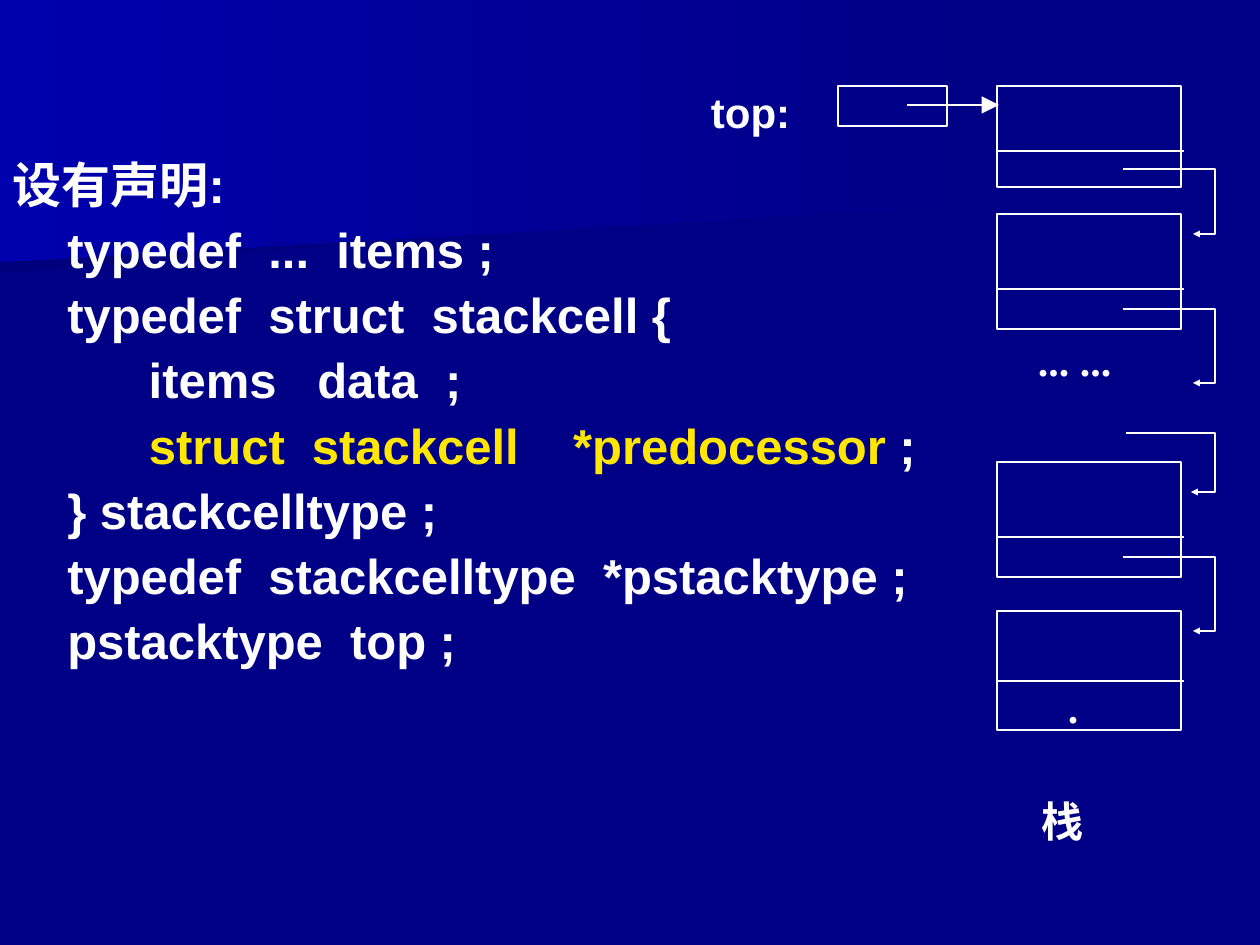
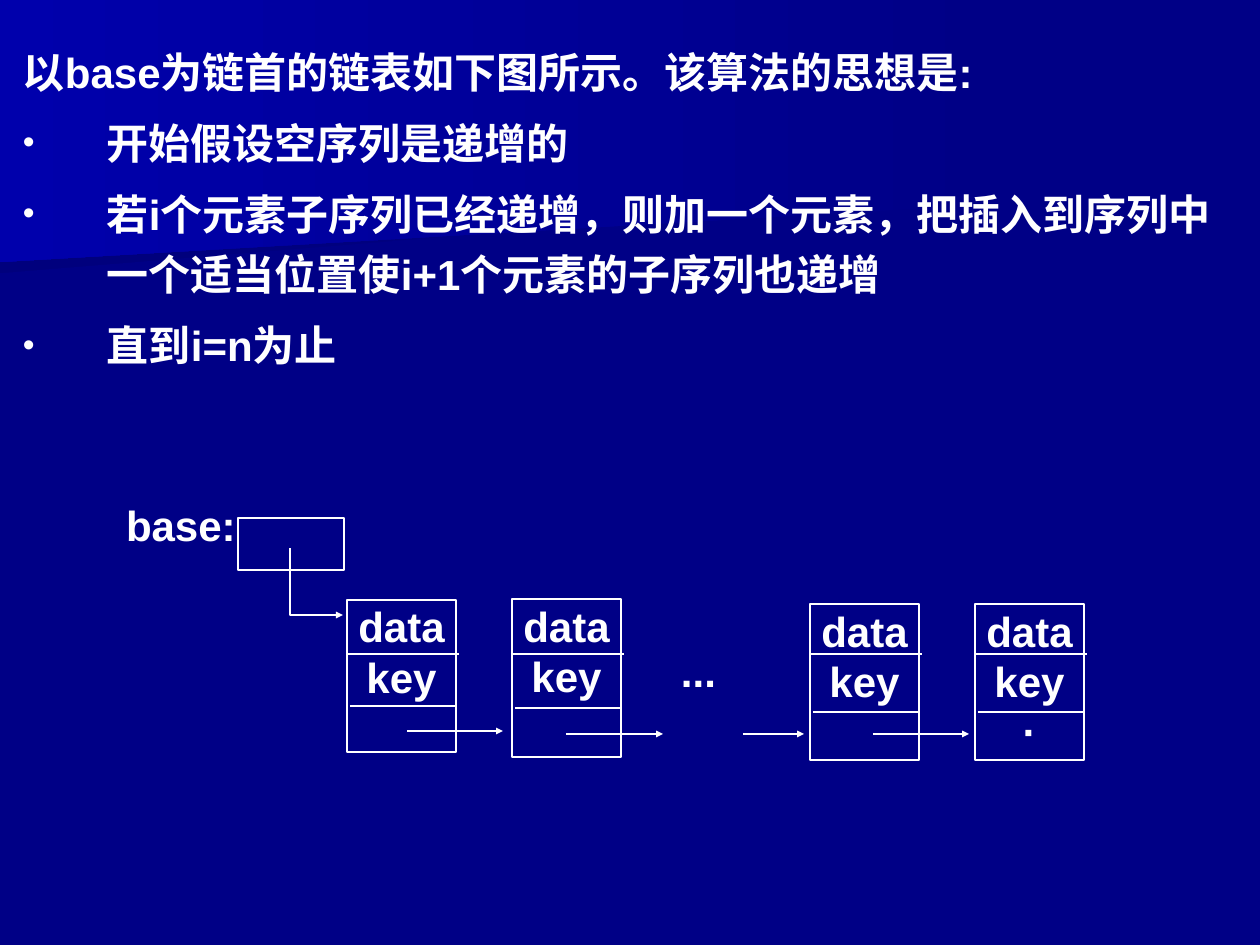
import pptx
import pptx.dml.color
import pptx.enum.shapes
import pptx.enum.text
import pptx.oxml
import pptx.oxml.ns
import pptx.util

RGB = pptx.dml.color.RGBColor
NAVY = RGB(0x00, 0x00, 0x86)
DARK_NAVY = RGB(0x00, 0x00, 0x7D)
BRIGHT_BLUE = RGB(0x00, 0x00, 0xAC)
WHITE = RGB(0xFF, 0xFF, 0xFF)
YELLOW = RGB(0xFF, 0xE7, 0x01)

LATIN = "Arial"
SERIF = "Times New Roman"
CJK = "Noto Sans CJK SC"
EMU_PER_PX = 914400 / 126
CENTER = pptx.enum.text.PP_ALIGN.CENTER
THIN_INSET, TEXT_INSETS = (1, 1), (13, 6)

DECLARATION = [
    [("设有声明:", WHITE)],
    [("    typedef  ...  items ;", WHITE)],
    [("    typedef  struct  stackcell {", WHITE)],
    [("          items   data  ;", WHITE)],
    [("          ", WHITE), ("struct  stackcell    *predocessor", YELLOW), (" ;", WHITE)],
    [("    } stackcelltype ;", WHITE)],
    [("    typedef  stackcelltype  *pstacktype ;", WHITE)],
    [("    pstacktype  top ;", WHITE)],
]
IDEA_INTRO = "以base为链首的链表如下图所示。该算法的思想是:"
IDEA_STEPS = [
    "开始假设空序列是递增的",
    "若i个元素子序列已经递增，则加一个元素，把插入到序列中一个适当位置使i+1个元素的子序列也递增",
    "直到i=n为止",
]


def px(length):
    """Turn pixels into EMU."""
    return pptx.util.Emu(round(length * EMU_PER_PX))


def add_xml(parent, tag, **attributes):
    """Append an empty drawing element to a parent."""
    child = pptx.oxml.parse_xml(f"<a:{tag} {pptx.oxml.ns.nsdecls('a')}/>")
    for key, value in attributes.items():
        child.set(key, value)
    parent.append(child)
    return child


def add_run(paragraph, text, color=WHITE, size=24, font=LATIN):
    """Add one bold run with Latin and East Asian fonts."""
    run = paragraph.add_run()
    run.text = text
    run.font.name = font
    run.font.size = pptx.util.Pt(size)
    run.font.bold = True
    run.font.color.rgb = color
    add_xml(run.font._element, "ea", typeface=CJK)


def prepare_frame(shape, insets):
    """Set wrapping, top anchoring and insets of a text frame."""
    frame = shape.text_frame
    frame.word_wrap = True
    frame.vertical_anchor = pptx.enum.text.MSO_ANCHOR.TOP
    frame.margin_left = frame.margin_right = px(insets[0])
    frame.margin_top = frame.margin_bottom = px(insets[1])
    return frame


def fill_lines(frame, lines, align=None, size=24, font=LATIN, spacing=None, before=0):
    """Write lines, each a list of (text, colour) pairs, as paragraphs."""
    for index, pieces in enumerate(lines):
        paragraph = frame.add_paragraph() if index else frame.paragraphs[0]
        paragraph.alignment = align
        if spacing:
            paragraph.line_spacing = spacing
        if index and before:
            paragraph.space_before = pptx.util.Pt(before)
        for text, color in pieces:
            add_run(paragraph, text, color, size, font)


def add_text(slide, box, lines, insets=TEXT_INSETS, **style):
    """Add a text box and return its frame."""
    frame = prepare_frame(slide.shapes.add_textbox(*map(px, box)), insets)
    fill_lines(frame, lines, **style)
    return frame


def style_line(shape, width=0.75, arrow=None):
    """Give a white outline and, if asked, an end arrowhead of a size."""
    shape.line.color.rgb = WHITE
    shape.line.width = pptx.util.Pt(width)
    if arrow:
        outline = shape.element.spPr.find(pptx.oxml.ns.qn("a:ln"))
        add_xml(outline, "tailEnd", type="triangle", w=arrow, len=arrow)


def add_box(slide, left, top, width, height):
    """Add an unfilled rectangle with a white outline."""
    box = slide.shapes.add_shape(pptx.enum.shapes.MSO_SHAPE.RECTANGLE,
                                 *map(px, (left, top, width, height)))
    box.shadow.inherit = False
    box.fill.background()
    style_line(box)
    return box


def add_line(slide, left, right, y, width=0.75, arrow=None):
    """Add a horizontal line or arrow."""
    line = slide.shapes.add_connector(pptx.enum.shapes.MSO_CONNECTOR.STRAIGHT,
                                      px(left), px(y), px(right), px(y))
    style_line(line, width, arrow)
    add_xml(line.element.spPr, "effectLst")


def add_outline(slide, points, close):
    """Add a freeform through the points."""
    builder = slide.shapes.build_freeform(*points[0], scale=EMU_PER_PX)
    builder.add_line_segments(points[1:], close=close)
    outline = builder.convert_to_shape()
    outline.shadow.inherit = False
    return outline


def add_bent_arrow(slide, points):
    """Add an open polyline that ends in an arrowhead."""
    bend = add_outline(slide, points, close=False)
    bend.fill.background()
    style_line(bend, arrow="sm")


def add_band(slide, points, left_color):
    """Add a backdrop band that fades to navy on the right."""
    band = add_outline(slide, points, close=True)
    band.line.fill.background()
    band.fill.gradient()
    band.fill.gradient_angle = 180
    for stop, color in zip(band.fill.gradient_stops, (NAVY, left_color)):
        stop.color.rgb = color


def add_slide(deck):
    """Add a blank slide with the shared backdrop."""
    slide = deck.slides.add_slide(deck.slide_layouts[6])
    add_band(slide, [(980, 193), (0, 273), (0, 127), (982, 127), (980, 161)], DARK_NAVY)
    add_band(slide, [(998, 204), (0, 262), (0, 0), (998, 0)], BRIGHT_BLUE)
    return slide


def add_stack_cell(slide, top, height, divider):
    """Add one stack cell with its data and pointer parts."""
    left, width = 997, 184
    add_box(slide, left, top, width, height)
    add_line(slide, left, left + width + 3, divider)


def add_list_node(slide, left, top, height, key_line, *fields):
    """Add one list node with data, key and pointer parts."""
    width = 109
    node = add_box(slide, left, top, width, height)
    lines = [[(field, WHITE)] for field in ("data", "key", *fields)]
    fill_lines(prepare_frame(node, THIN_INSET), lines, align=CENTER)
    add_line(slide, left, left + width + 3, 654)
    add_line(slide, left + 3, left + width, key_line, width=1)


def add_bullet(paragraph):
    """Give a paragraph a white round bullet."""
    properties = paragraph._p.get_or_add_pPr()
    add_xml(add_xml(properties, "buClr"), "srgbClr", val=str(WHITE))
    add_xml(properties, "buSzPct", val="80000")
    add_xml(properties, "buFont", typeface=LATIN)
    add_xml(properties, "buChar", char="•")


def build_stack_slide(deck):
    """Build the stack declaration beside the linked stack."""
    slide = add_slide(deck)
    add_text(slide, (0, 155, 993, 694), DECLARATION, size=28, spacing=0.9, before=7)
    add_text(slide, (710, 86, 113, 39), [[("top:", WHITE)]], THIN_INSET)
    add_box(slide, 838, 86, 109, 40)
    for top, height, divider in [(86, 101, 151), (214, 115, 289),
                                 (462, 115, 537), (611, 119, 681)]:
        add_stack_cell(slide, top, height, divider)
    for start, y, end, target in [(1123, 169, 1193, 234), (1123, 309, 1193, 383),
                                  (1126, 433, 1191, 492), (1123, 557, 1193, 631)]:
        add_bent_arrow(slide, [(start, y), (1215, y), (1215, target), (end, target)])
    add_line(slide, 907, 999, 105, arrow="lg")
    add_text(slide, (1037, 334, 126, 48), [[("... ...", WHITE)]], THIN_INSET, font=SERIF)
    add_text(slide, (1067, 680, 57, 33), [[(".", WHITE)]], THIN_INSET, font=SERIF)
    add_text(slide, (898, 790, 330, 52), [[("栈", WHITE)]], align=CENTER, font=CJK)


def build_list_slide(deck):
    """Build the insertion idea above the linked list."""
    slide = add_slide(deck)
    idea = add_text(slide, (10, 30, 1235, 403),
                    [[(line, WHITE)] for line in (IDEA_INTRO, *IDEA_STEPS)],
                    spacing=1.2, before=6)
    for index, paragraph in enumerate(idea.paragraphs):
        properties = paragraph._p.get_or_add_pPr()
        properties.set("marL", str(px(84)))
        properties.set("indent", str(px(-84)))
        if index:
            add_bullet(paragraph)
    add_text(slide, (113, 493, 168, 95), [[("base:", WHITE)]])
    add_box(slide, 238, 518, 106, 52)
    add_bent_arrow(slide, [(290, 548), (290, 615), (343, 615)])
    add_list_node(slide, 347, 600, 152, 706)
    add_list_node(slide, 512, 599, 158, 708)
    add_list_node(slide, 810, 604, 156, 712)
    add_list_node(slide, 975, 604, 156, 712, "·")
    add_text(slide, (680, 645, 67, 67), [[("...", WHITE)]], THIN_INSET)
    for left, right, y in [(407, 503, 731), (566, 663, 734),
                           (743, 804, 734), (873, 969, 734)]:
        add_line(slide, left, right, y, arrow="sm")


def main():
    """Build and save the deck."""
    deck = pptx.Presentation()
    deck.slide_width, deck.slide_height = px(1260), px(945)
    background = deck.slide_master.background.fill
    background.solid()
    background.fore_color.rgb = NAVY
    build_stack_slide(deck)
    build_list_slide(deck)
    deck.save("out.pptx")


if __name__ == "__main__":
    main()
